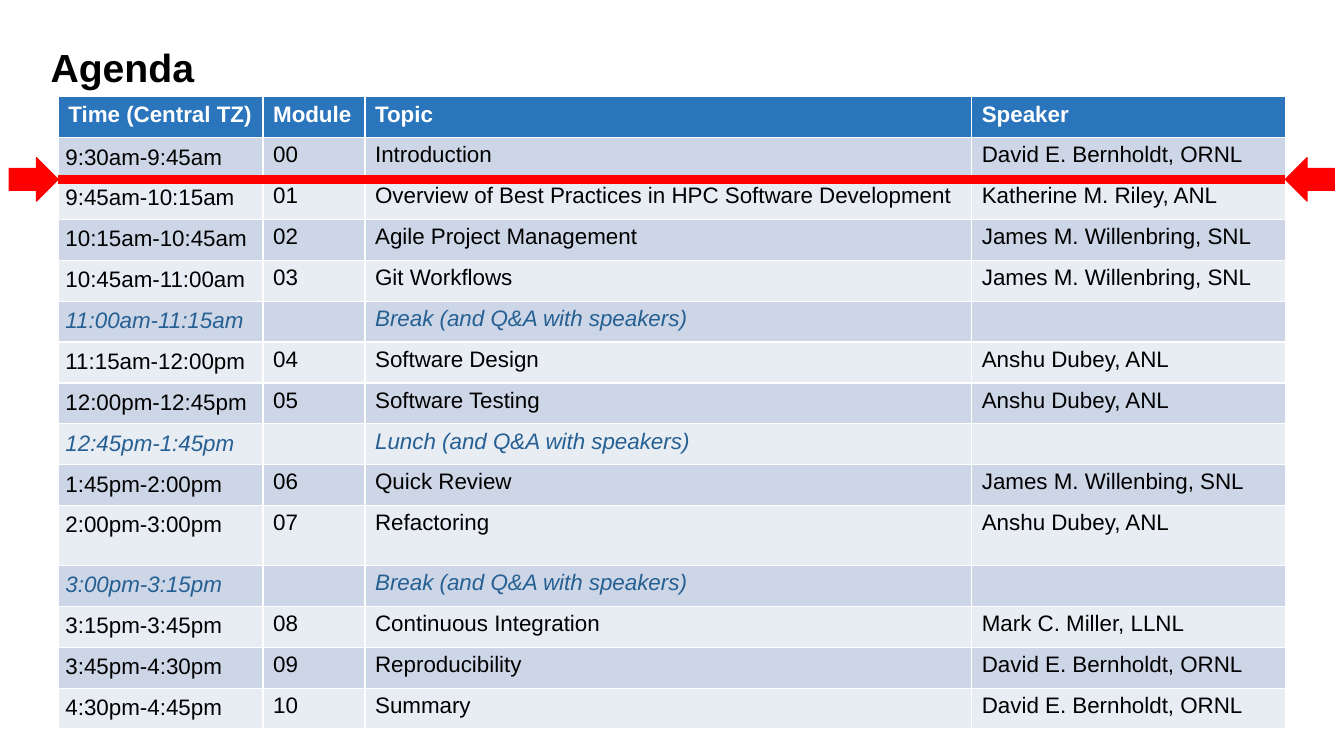
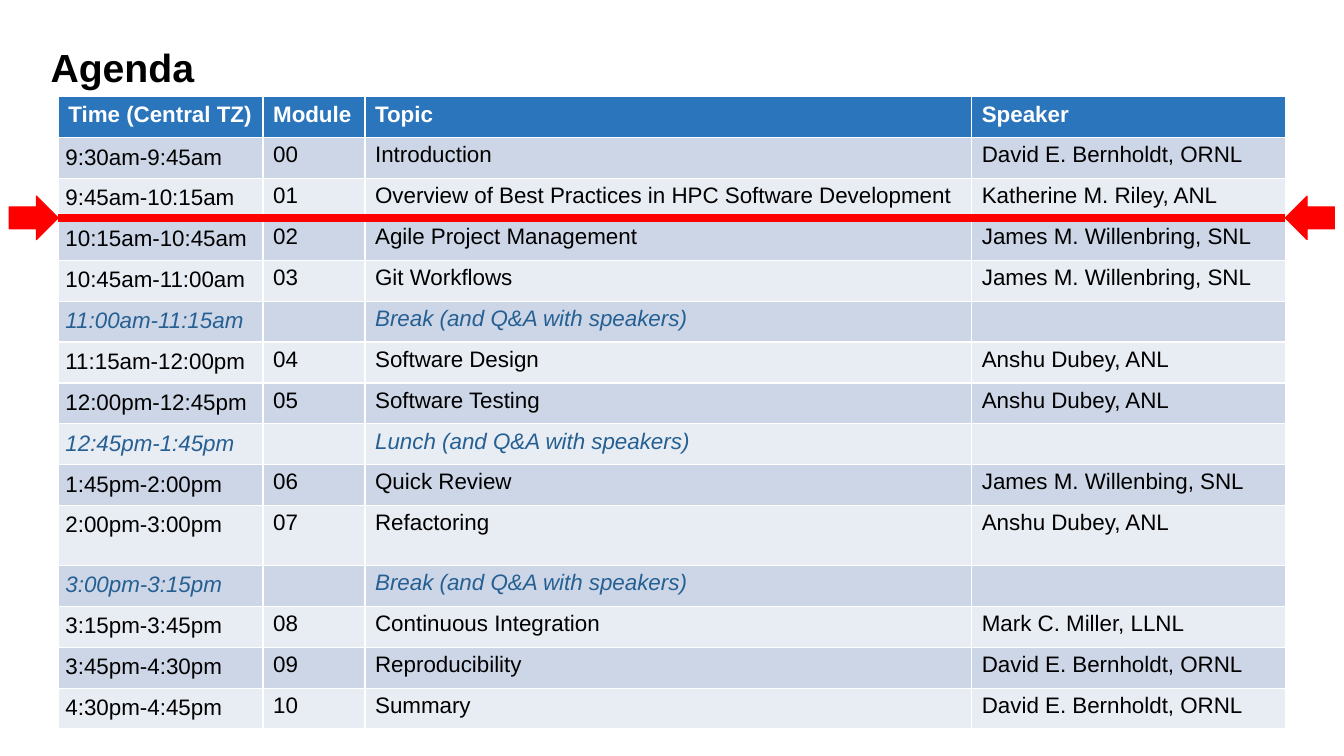
from dataclasses import dataclass
from itertools import count

from lxml import etree
from pptx import Presentation
from pptx import util as u
from pptx.dml.color import RGBColor
from pptx.enum import shapes, text
from pptx.oxml.ns import qn


@dataclass(frozen=True)
class Theme:
    font: str = "Arial"
    title_size: float = 28
    body_size: float = 16
    ink: str = "000000"
    header_ink: str = "FFFFFF"
    pause_ink: str = "266093"
    header_fill: str = "2A75BB"
    bands: tuple = ("CDD6E7", "E8ECF3")
    marker: str = "FF0000"


THEME = Theme()

TABLE_LEFT, TABLE_TOP = 1.47, 2.44
COLUMN_WIDTHS = (5.16, 2.57, 15.29, 7.9)
TABLE_WIDTH = sum(COLUMN_WIDTHS)
ROW_HEIGHT, TALL_ROW_HEIGHT = 1.03, 1.51
TALL_TOPIC = "Refactoring"
TIME_MARGIN = 0.18
ARROW_WIDTH, ARROW_HEIGHT = 1.24, 1.1

HEADINGS = ("Time (Central TZ)", "Module", "Topic", "Speaker")
# Time, topic and speaker; a pause has no speaker and no module number.
SESSIONS = (
    ("9:30am-9:45am", "Introduction", "David E. Bernholdt, ORNL"),
    ("9:45am-10:15am", "Overview of Best Practices in HPC Software Development",
     "Katherine M. Riley, ANL"),
    ("10:15am-10:45am", "Agile Project Management", "James M. Willenbring, SNL"),
    ("10:45am-11:00am", "Git Workflows", "James M. Willenbring, SNL"),
    ("11:00am-11:15am", "Break (and Q&A with speakers)", ""),
    ("11:15am-12:00pm", "Software Design", "Anshu Dubey, ANL"),
    ("12:00pm-12:45pm", "Software Testing", "Anshu Dubey, ANL"),
    ("12:45pm-1:45pm", "Lunch (and Q&A with speakers)", ""),
    ("1:45pm-2:00pm", "Quick Review", "James M. Willenbing, SNL"),
    ("2:00pm-3:00pm", "Refactoring", "Anshu Dubey, ANL"),
    ("3:00pm-3:15pm", "Break (and Q&A with speakers)", ""),
    ("3:15pm-3:45pm", "Continuous Integration", "Mark C. Miller, LLNL"),
    ("3:45pm-4:30pm", "Reproducibility", "David E. Bernholdt, ORNL"),
    ("4:30pm-4:45pm", "Summary", "David E. Bernholdt, ORNL"),
)
# Height on the slide of the line that shows how far the day has come.
PROGRESS_LINES = (4.52, 5.49)


def set_attributes(target, values):
    for name, value in values.items():
        setattr(target, name, value)


def color(hex_value):
    return RGBColor.from_string(hex_value)


def write(paragraph, words, size, ink, bold=False, italic=False):
    run = paragraph.add_run()
    run.text = words
    set_attributes(run.font, {"name": THEME.font, "size": u.Pt(size),
                              "bold": bold, "italic": italic})
    run.font.color.rgb = color(ink)


def add_title(slide, words):
    title = slide.shapes.title
    set_attributes(title, {"left": u.Cm(1.02), "top": u.Cm(1.14),
                           "width": u.Cm(31.6), "height": u.Cm(2.54)})
    set_attributes(title.text_frame, {"vertical_anchor": text.MSO_ANCHOR.TOP,
                                      "auto_size": text.MSO_AUTO_SIZE.NONE,
                                      "word_wrap": True})
    paragraph = title.text_frame.paragraphs[0]
    set_attributes(paragraph, {"alignment": text.PP_ALIGN.LEFT, "line_spacing": 0.85})
    write(paragraph, words, THEME.title_size, THEME.ink, bold=True)


def fill_row(row, words, fill, **style):
    for cell, entry in zip(row.cells, words):
        cell.fill.solid()
        cell.fill.fore_color.rgb = color(fill)
        if entry:
            write(cell.text_frame.paragraphs[0], entry, THEME.body_size, **style)


def add_agenda(slide):
    row_heights = [ROW_HEIGHT] + [
        TALL_ROW_HEIGHT if topic == TALL_TOPIC else ROW_HEIGHT
        for _, topic, _ in SESSIONS]
    frame = slide.shapes.add_table(
        len(row_heights), len(HEADINGS), u.Cm(TABLE_LEFT), u.Cm(TABLE_TOP),
        u.Cm(TABLE_WIDTH), u.Cm(sum(row_heights)))
    table = frame.table
    for column, width in zip(table.columns, COLUMN_WIDTHS):
        column.width = u.Cm(width)
    for row, height in zip(table.rows, row_heights):
        row.height = u.Cm(height)

    header, *rows = table.rows
    fill_row(header, HEADINGS, THEME.header_fill, ink=THEME.header_ink, bold=True)
    module_numbers = count()
    for index, (row, (time, topic, speaker)) in enumerate(zip(rows, SESSIONS)):
        module = f"{next(module_numbers):02d}" if speaker else ""
        fill_row(row, (time, module, topic, speaker), THEME.bands[index % 2],
                 ink=THEME.ink if speaker else THEME.pause_ink, italic=not speaker)
        set_attributes(row.cells[0], {
            f"margin_{side}": u.Cm(TIME_MARGIN)
            for side in ("left", "top", "right", "bottom")})


def add_arrow(group, left, middle, rotation):
    arrow = group.shapes.add_shape(
        shapes.MSO_SHAPE.RIGHT_ARROW, u.Cm(left), u.Cm(middle - ARROW_HEIGHT / 2),
        u.Cm(ARROW_WIDTH), u.Cm(ARROW_HEIGHT))
    arrow.rotation = rotation
    arrow.shadow.inherit = False
    arrow.fill.solid()
    arrow.fill.fore_color.rgb = color(THEME.marker)
    arrow.line.color.rgb = color(THEME.marker)
    arrow.line.width = u.Pt(0.75)


def add_progress_marker(slide, middle):
    """Draw a line across the table, with an arrow pointing at each end."""
    group = slide.shapes.add_group_shape()
    right = TABLE_LEFT + TABLE_WIDTH
    line = group.shapes.add_connector(
        shapes.MSO_CONNECTOR.STRAIGHT, u.Cm(TABLE_LEFT), u.Cm(middle),
        u.Cm(right), u.Cm(middle))
    line.line.color.rgb = color(THEME.marker)
    line.line.width = u.Pt(6)
    etree.SubElement(line._element.spPr, qn("a:effectLst"))
    add_arrow(group, TABLE_LEFT - ARROW_WIDTH, middle, rotation=0)
    add_arrow(group, right, middle, rotation=180)


def main():
    presentation = Presentation()
    presentation.slide_width, presentation.slide_height = u.Cm(33.87), u.Cm(19.05)
    title_only = presentation.slide_layouts.get_by_name("Title Only")
    for middle in PROGRESS_LINES:
        slide = presentation.slides.add_slide(title_only)
        add_title(slide, "Agenda")
        add_agenda(slide)
        add_progress_marker(slide, middle)
    presentation.save("out.pptx")


if __name__ == "__main__":
    main()
